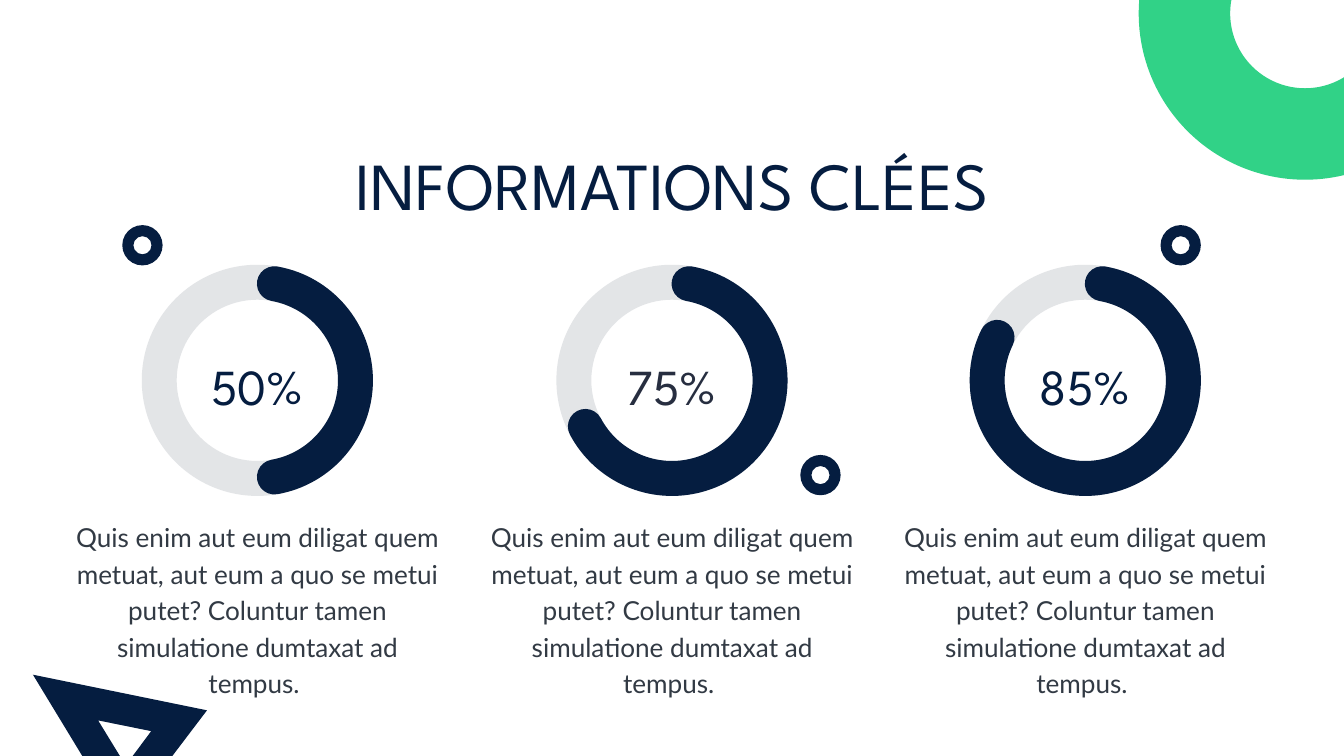
from dataclasses import dataclass
from math import cos, radians, sin, tan

from lxml import etree
from pptx import Presentation
from pptx.dml.color import RGBColor
from pptx.enum.shapes import MSO_SHAPE as SHAPE
from pptx.enum.text import MSO_AUTO_SIZE as AUTO, PP_ALIGN as ALIGN
from pptx.oxml.ns import qn
from pptx.util import Inches, Pt

TITLE = "INFORMATIONS CLÉES"
BODY = ("Quis enim aut eum diligat quem metuat, aut eum a quo se metui putet? "
        "Coluntur tamen simulatione dumtaxat ad tempus. ")
GAUGES = [
    ("50%", 3.83, 0.5, 2, "051D40"),
    ("75%", 10, 0.7, 3, "272E40"),
    ("85%", 16.15, 0.85, 4, "051D40"),
]
SMALL_RINGS = [(2.12, 3.65), (17.57, 3.65), (12.21, 7.07)]
TRIANGLE = [
    [(0.49, 10.04), (3.08, 10.57), (1.82, 12.23)],
    [(2.25, 10.88), (1.46, 10.72), (1.87, 11.39)],
]


@dataclass(frozen=True)
class Theme:
    navy: str = "051D40"
    green: str = "31D287"
    track: str = "E3E5E7"
    text: str = "323A44"
    heading_font: str = "League Spartan"
    body_font: str = "Lato"
    title_size: int = 72
    value_size: int = 54
    body_size: int = 28
    leading: float = 1.4


T = Theme()
GAUGE_Y, OUTER, INNER, GAP = 5.66, 1.72, 1.2, 10

prs = Presentation()
prs.slide_width, prs.slide_height = Inches(20), Inches(11.25)
s = prs.slides.add_slide(prs.slide_layouts[6])


def paint(sp, color):
    sp.shadow.inherit = False
    sp.fill.solid()
    sp.fill.fore_color.rgb = RGBColor.from_string(color)
    sp.line.fill.background()


def add_ring(x, y, size, thickness, color):
    sp = s.shapes.add_shape(SHAPE.DONUT, Inches(x - size / 2), Inches(y - size / 2),
                            Inches(size), Inches(size))
    sp.adjustments[0] = thickness
    paint(sp, color)


def add_outline(contours, color):
    emu = [[(Inches(x), Inches(y)) for x, y in c] for c in contours]
    builder = s.shapes.build_freeform(*emu[0][0], scale=1.0)
    for i, points in enumerate(emu):
        if i:
            builder.move_to(*points[0])
        builder.add_line_segments(points[1:], close=True)
    sp = builder.convert_to_shape()
    paint(sp, color)
    return sp


def curve_lines(sp):
    lines = list(sp._element.iter(qn("a:lnTo")))
    for i in range(0, len(lines) - 2, 3):
        curve = etree.Element(qn("a:cubicBezTo"))
        lines[i].addprevious(curve)
        for line in lines[i:i + 3]:
            curve.append(line[0])
            line.getparent().remove(line)


def polar(x, y, radius, degrees):
    a = radians(degrees)
    return x + radius * sin(a), y - radius * cos(a)


def arc(x, y, radius, start, end, pieces):
    step = (end - start) / pieces
    pull = radius * 4 / 3 * tan(radians(step) / 4)
    points = []
    for i in range(pieces):
        a, b = start + i * step, start + (i + 1) * step
        points += [polar(*polar(x, y, radius, a), pull, a + 90),
                   polar(*polar(x, y, radius, b), pull, b - 90),
                   polar(x, y, radius, b)]
    return points


def add_progress(x, y, share, pieces):
    start, end = GAP, 360 * share - GAP
    mid, cap = (OUTER + INNER) / 2, (OUTER - INNER) / 2
    head, tail = polar(x, y, mid, start), polar(x, y, mid, end)
    points = ([polar(x, y, OUTER, start)]
              + arc(x, y, OUTER, start, end, pieces)
              + arc(*tail, cap, end, end + 180, 3)
              + arc(x, y, INNER, end, start, pieces)
              + arc(*head, cap, start + 180, start + 360, 3))
    curve_lines(add_outline([points], T.navy))


def add_text(text, x, y, w, h, font, size, color):
    box = s.shapes.add_textbox(Inches(x - w / 2), Inches(y), Inches(w), Inches(h))
    tf = box.text_frame
    tf.word_wrap = True
    tf.auto_size = AUTO.SHAPE_TO_FIT_TEXT
    tf.margin_left = tf.margin_right = tf.margin_top = tf.margin_bottom = 0
    p = tf.paragraphs[0]
    p.text = text
    p.alignment = ALIGN.CENTER
    p.line_spacing = Pt(round(size * T.leading, 1))
    p.font.name = font
    p.font.size = Pt(size)
    p.font.color.rgb = RGBColor.from_string(color)


for value, x, share, pieces, color in GAUGES:
    add_ring(x, GAUGE_Y, 2 * OUTER, (OUTER - INNER) / (2 * OUTER), T.track)
    add_progress(x, GAUGE_Y, share, pieces)
    add_text(value, x, 5.14, 2.52, 1.02, T.heading_font, T.value_size, color)
    add_text(BODY, x, 7.68, 5.42, 2.69, T.body_font, T.body_size, T.text)

add_text(TITLE, 10, 1.93, 13.08, 1.34, T.heading_font, T.title_size, T.navy)

for x, y in SMALL_RINGS:
    add_ring(x, y, 0.6, 0.275, T.navy)
add_ring(19.42, 0.2, 4.95, 0.275, T.green)
add_outline(TRIANGLE, T.navy)

prs.save("out.pptx")
